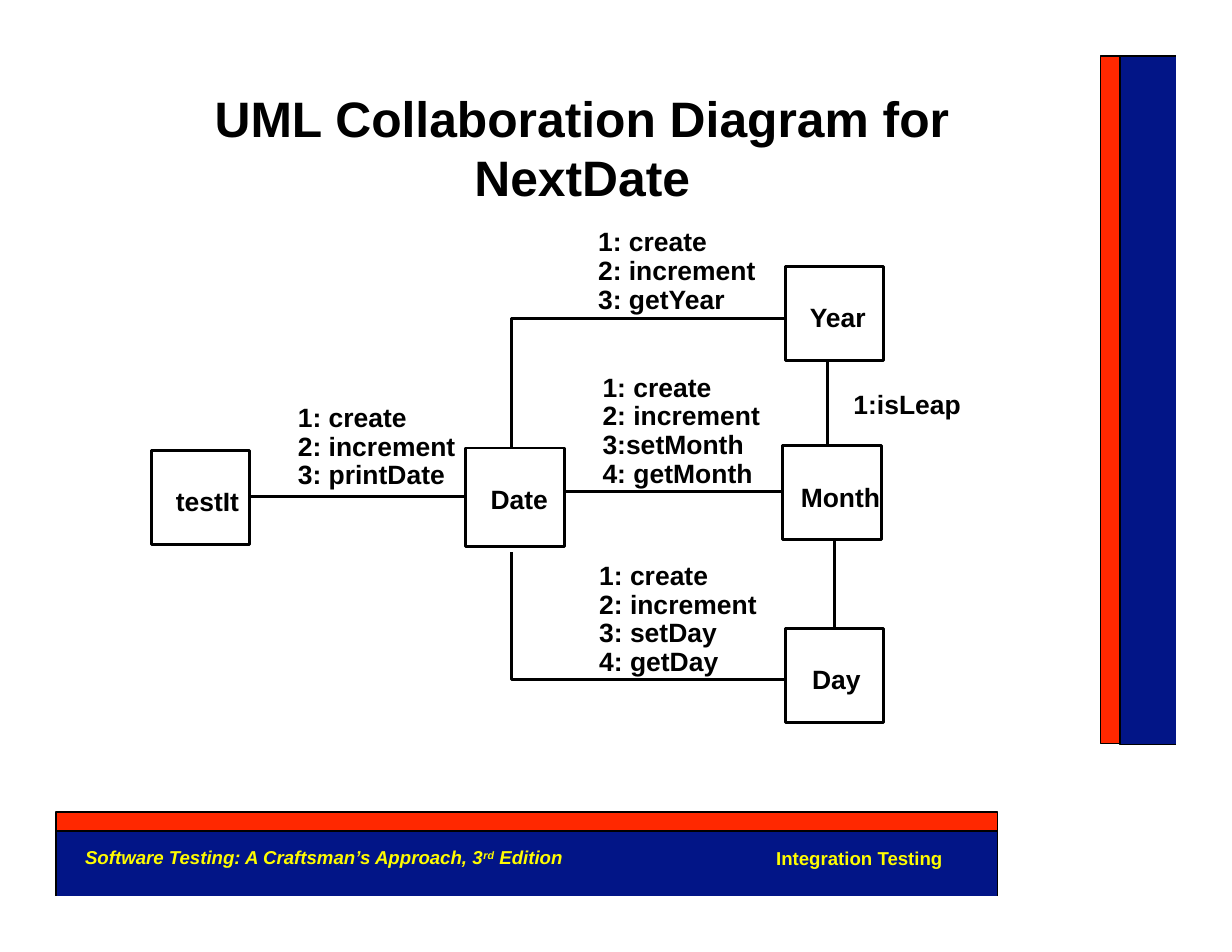
from dataclasses import dataclass

from lxml.etree import SubElement
from pptx import Presentation
from pptx.dml.color import RGBColor
from pptx.enum.shapes import MSO_CONNECTOR as Connector, MSO_SHAPE as Shape
from pptx.enum.text import PP_ALIGN as Align
from pptx.oxml.ns import qn
from pptx.util import Inches, Pt

BLACK = RGBColor(0x00, 0x00, 0x00)
NAVY = RGBColor(0x02, 0x15, 0x87)
RED = RGBColor(0xFF, 0x28, 0x00)
YELLOW = RGBColor(0xFF, 0xFC, 0x00)
FONT = "Arial"
DIAGRAM_LINE = 1.92
BAR_LINE = 0.72
Point = tuple[float, float]


@dataclass
class Bar:
    left: float
    top: float
    width: float
    height: float
    color: RGBColor
    outline: list[Point]


@dataclass
class ClassBox:
    name: str
    left: float
    top: float
    width: float = 0.88
    height: float = 0.84
    text_offset: float = 0.22
    text_width: float = 0.62


@dataclass
class Messages:
    left: float
    top: float
    width: float
    lines: list[str]


BARS = [
    Bar(10, 0.5, 0.5, 6.15, NAVY, [(10.5, 6.65), (10, 6.65), (10, 0.5), (10.5, 0.5)]),
    Bar(9.83, 0.5, 0.17, 6.14, RED,
        [(9.83, 6.64), (10, 6.64), (10, 0.5), (9.83, 0.5), (9.83, 6.64)]),
    Bar(0.5, 7.42, 8.41, 0.58, NAVY, [(8.91, 8), (8.91, 7.42), (0.5, 7.42), (0.5, 8)]),
    Bar(0.5, 7.25, 8.41, 0.17, RED,
        [(0.5, 7.42), (8.91, 7.42), (8.91, 7.25), (0.5, 7.25), (0.5, 7.42)]),
]
CLASS_BOXES = [
    ClassBox("testIt", 1.35, 4.02),
    ClassBox("Date", 4.16, 4, height=0.88),
    ClassBox("Year", 7.01, 2.38),
    ClassBox("Month", 6.99, 3.98, text_offset=0.16, text_width=0.8),
    ClassBox("Day", 7.01, 5.61, text_offset=0.24),
]
LINKS = [
    ((2.24, 4.43), (4.16, 4.43)),  # testIt - Date
    ((5.04, 4.39), (6.97, 4.39)),  # Date - Month
    ((7.39, 3.98), (7.39, 3.21)),  # Month - Year
    ((7.45, 5.61), (7.45, 4.83)),  # Day - Month
]
ELBOWS = [
    [(4.57, 4), (4.57, 2.84), (7.01, 2.84)],  # Date - Year
    [(4.57, 4.93), (4.57, 6.07), (7.01, 6.07)],  # Date - Day
]
COMMON = ["1: create", "2: increment"]
MESSAGES = [
    Messages(2.66, 3.61, 1.5, COMMON + ["3: printDate"]),
    Messages(5.34, 2.04, 1.5, COMMON + ["3: getYear"]),
    Messages(5.38, 3.34, 1.5, COMMON + ["3:setMonth", "4: getMonth"]),
    Messages(5.35, 5.02, 1.5, COMMON + ["3: setDay", "4: getDay"]),
    Messages(7.62, 3.49, 1.05, ["1:isLeap"]),
]


def add_text_box(page, left: float, top: float, width: float, height: float,
                 wrap: bool = False):
    box = page.shapes.add_textbox(Inches(left), Inches(top), Inches(width), Inches(height))
    frame = box.text_frame
    frame.margin_left = frame.margin_right = frame.margin_top = frame.margin_bottom = 0
    frame.word_wrap = wrap
    return frame


def format_span(span, size: float, color: RGBColor, italic: bool = False) -> None:
    font = span.font
    font.name, font.size, font.bold = FONT, Pt(size), True
    font.color.rgb = color
    if italic:
        font.italic = True


def add_lines(page, messages: Messages) -> None:
    frame = add_text_box(page, messages.left, messages.top, messages.width,
                         0.26 * len(messages.lines), wrap=True)
    frame.text = "\n".join(messages.lines)
    for para in frame.paragraphs:
        para.line_spacing = Pt(18.4)
        format_span(para.runs[0], 17, BLACK)


def add_rectangle(page, left: float, top: float, width: float, height: float):
    box = page.shapes.add_shape(Shape.RECTANGLE, Inches(left), Inches(top),
                                Inches(width), Inches(height))
    box.shadow.inherit = False
    return box


def add_path(page, points: list[Point], weight: float) -> None:
    corners = [(Inches(x), Inches(y)) for x, y in points]
    builder = page.shapes.build_freeform(*corners[0])
    builder.add_line_segments(corners[1:], close=points[0] == points[-1])
    path = builder.convert_to_shape()
    path.shadow.inherit = False
    path.fill.background()
    path.line.color.rgb = BLACK
    path.line.width = Pt(weight)


def add_bar(page, bar: Bar) -> None:
    box = add_rectangle(page, bar.left, bar.top, bar.width, bar.height)
    box.fill.solid()
    box.fill.fore_color.rgb = bar.color
    box.line.fill.background()
    add_path(page, bar.outline, BAR_LINE)


def add_class_box(page, item: ClassBox) -> None:
    add_lines(page, Messages(item.left + item.text_offset, item.top + 0.34,
                             item.text_width, [item.name]))
    box = add_rectangle(page, item.left, item.top, item.width, item.height)
    box.fill.background()
    box.line.color.rgb = BLACK
    box.line.width = Pt(DIAGRAM_LINE)


def add_link(page, start: Point, end: Point) -> None:
    link = page.shapes.add_connector(Connector.STRAIGHT, *map(Inches, start + end))
    link.line.color.rgb = BLACK
    link.line.width = Pt(DIAGRAM_LINE)
    SubElement(link._element.spPr, qn("a:effectLst"))


def main() -> None:
    deck = Presentation()
    deck.slide_width, deck.slide_height = Inches(11), Inches(8.5)
    page = deck.slides.add_slide(deck.slide_layouts[6])

    # Side and footer bars
    for bar in BARS:
        add_bar(page, bar)

    # Title
    title = add_text_box(page, 1.8, 0.78, 6.8, 0.98, wrap=True).paragraphs[0]
    title.text = "UML Collaboration Diagram for NextDate"
    title.alignment = Align.CENTER
    format_span(title.runs[0], 32, BLACK)

    # Collaboration diagram
    for item in CLASS_BOXES:
        add_class_box(page, item)
    for start, end in LINKS:
        add_link(page, start, end)
    for elbow in ELBOWS:
        add_path(page, elbow, DIAGRAM_LINE)
    for messages in MESSAGES:
        add_lines(page, messages)

    # Footer
    book = add_text_box(page, 0.76, 7.55, 4.34, 0.21).paragraphs[0]
    for text in ("Software Testing: A Craftsman’s Approach, 3", "rd", " Edition"):
        span = book.add_run()
        span.text = text
        format_span(span, 12, YELLOW, italic=True)
    book.runs[1].font._element.set("baseline", "28000")

    chapter = add_text_box(page, 6.93, 7.56, 1.53, 0.19).paragraphs[0]
    chapter.text = "Integration Testing"
    format_span(chapter.runs[0], 12, YELLOW)

    deck.save("out.pptx")


if __name__ == "__main__":
    main()
